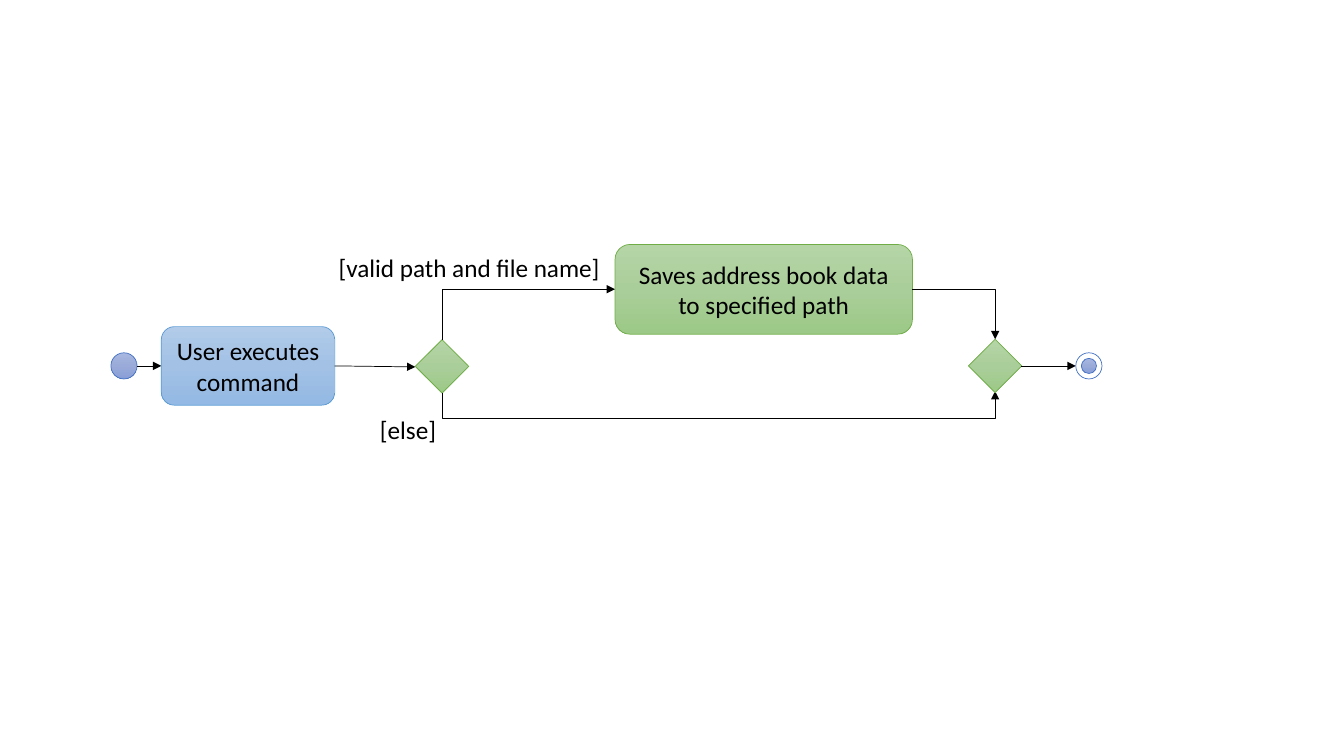
from copy import deepcopy
from pptx import Presentation
from pptx.dml.color import RGBColor
from pptx.enum.dml import MSO_FILL
from pptx.enum.shapes import MSO_CONNECTOR, MSO_SHAPE
from pptx.enum.text import MSO_ANCHOR, MSO_AUTO_SIZE, PP_ALIGN
from pptx.oxml.ns import qn
from pptx.util import Inches, Pt

OVAL = MSO_SHAPE.OVAL
ROUND = MSO_SHAPE.ROUNDED_RECTANGLE
GEM = MSO_SHAPE.DIAMOND
STRAIGHT = MSO_CONNECTOR.STRAIGHT
ELBOW = MSO_CONNECTOR.ELBOW
CENTER = PP_ALIGN.CENTER
MIDDLE = MSO_ANCHOR.MIDDLE
FIT = MSO_AUTO_SIZE.SHAPE_TO_FIT_TEXT
GRADIENT = MSO_FILL.GRADIENT

COLORS = {
    "ink": "000000",
    "paper": "FFFFFF",
    "indigo": "4472C4",
    "blue": "5B9BD5",
    "green": "70AD47",
}
FADES = {
    "indigo": ("A8B7DF", "9AABD9", "889ED7"),
    "blue": ("B1CBE9", "A3C1E5", "93B9E4"),
    "green": ("B5D5A7", "AACE9A", "9CC987"),
}
DOT = 0.26
CORE = 0.15
SIDE = 0.53


def tint(name):
    return RGBColor.from_string(COLORS[name])


def fade(shape, name):
    fill = shape.fill
    fill.gradient()
    if fill.type == GRADIENT:
        first = shape._element.spPr.find(".//" + qn("a:gs"))
        first.addnext(deepcopy(first))
    fill.gradient_angle = 270
    for stop, place, code in zip(fill.gradient_stops, (0, 0.5, 1), FADES[name]):
        stop.position = place
        stop.color.rgb = RGBColor.from_string(code)


def write(frame, text):
    frame.word_wrap = True
    para = frame.paragraphs[0]
    run = para.add_run()
    run.text = text
    run.font.name = "Calibri"
    run.font.size = Pt(18)
    run.font.color.rgb = tint("ink")
    return para


def node(shapes, kind, box, name, text="", plain=False):
    shape = shapes.add_shape(kind, *map(Inches, box))
    shape.shadow.inherit = False
    shape.line.color.rgb = tint(name)
    shape.line.width = Pt(0.5)
    if plain:
        shape.fill.solid()
        shape.fill.fore_color.rgb = tint("paper")
    else:
        fade(shape, name)
    if text:
        shape.text_frame.vertical_anchor = MIDDLE
        write(shape.text_frame, text).alignment = CENTER


def label(shapes, box, text):
    area = shapes.add_textbox(*map(Inches, box))
    write(area.text_frame, text)
    area.text_frame.auto_size = FIT


def arrow(shapes, start, end, kind=STRAIGHT):
    link = shapes.add_connector(kind, *map(Inches, start + end))
    link.line.color.rgb = tint("ink")
    link.line.width = Pt(0.5)
    line = link.line._get_or_add_ln()
    line.append(line.makeelement(qn("a:tailEnd"), {"type": "triangle"}))
    props = link._element.spPr
    props.append(props.makeelement(qn("a:effectLst"), {}))
    return link


def bend(shapes, start, end, turn=False, drop=0):
    link = arrow(shapes, start, end, ELBOW)
    props = link._element.spPr
    geom = props.find(qn("a:prstGeom"))
    if turn:
        wide, high = abs(end[0] - start[0]), abs(end[1] - start[1])
        link.left = Inches((start[0] + end[0] - high) / 2)
        link.top = Inches((start[1] + end[1] - wide) / 2)
        link.width, link.height = Inches(high), Inches(wide)
        frame = props.find(qn("a:xfrm"))
        for key, value in (("rot", "5400000"), ("flipH", "1"), ("flipV", "1")):
            frame.set(key, value)
    if drop:
        ratio = round(-drop / abs(end[1] - start[1]) * 100000)
        guide = {"name": "adj1", "fmla": f"val {ratio}"}
        guides = geom.get_or_add_avLst()
        guides.append(guides.makeelement(qn("a:gd"), guide))
    else:
        geom.set("prst", "bentConnector2")


def finish(shapes, x, y):
    ring = shapes.add_group_shape().shapes
    node(ring, OVAL, (x, y, DOT, DOT), "indigo", plain=True)
    gap = (DOT - CORE) / 2
    node(ring, OVAL, (x + gap, y + gap, CORE, CORE), "indigo")


def entry(shapes, x, mid, fork):
    node(shapes, OVAL, (x, mid - DOT / 2, DOT, DOT), "indigo")
    arrow(shapes, (x + DOT, mid), (x + 0.5, mid))
    node(shapes, ROUND, (x + 0.5, mid - 0.39, 1.72, 0.78), "blue",
         "User executes command")
    arrow(shapes, (x + 2.22, mid), fork)


def branch(shapes, x, mid):
    top, low = mid - 0.26, mid + 0.27
    fork = x + SIDE / 2
    join = x + 5.75
    lane = mid - 0.76
    head = mid - SIDE / 2
    label(shapes, (x - 0.45, mid + 0.43, 0.93, 0.4), "[else]")
    label(shapes, (x - 0.86, mid - 1.18, 2.95, 0.4), "[valid path and file name]")
    node(shapes, ROUND, (x + 1.98, lane - 0.445, 2.95, 0.89), "green",
         "Saves address book data to specified path")
    node(shapes, GEM, (x, top, SIDE, SIDE), "green")
    bend(shapes, (fork, top), (x + 1.98, lane), turn=True)
    bend(shapes, (fork, low), (join, low - 0.02), turn=True, drop=0.25)
    bend(shapes, (x + 4.93, lane), (join, head))
    node(shapes, GEM, (join - SIDE / 2, head, SIDE, SIDE), "green")


def main():
    deck = Presentation()
    deck.slide_width, deck.slide_height = Inches(13.33), Inches(7.5)
    shapes = deck.slides.add_slide(deck.slide_layouts[6]).shapes
    mid = 3.63
    entry(shapes, 1.1, mid, (4.12, 3.64))
    branch(shapes, 4.12, mid)
    arrow(shapes, (10.13, mid), (10.67, mid))
    finish(shapes, 10.67, mid - DOT / 2)
    deck.save("out.pptx")


if __name__ == "__main__":
    main()
